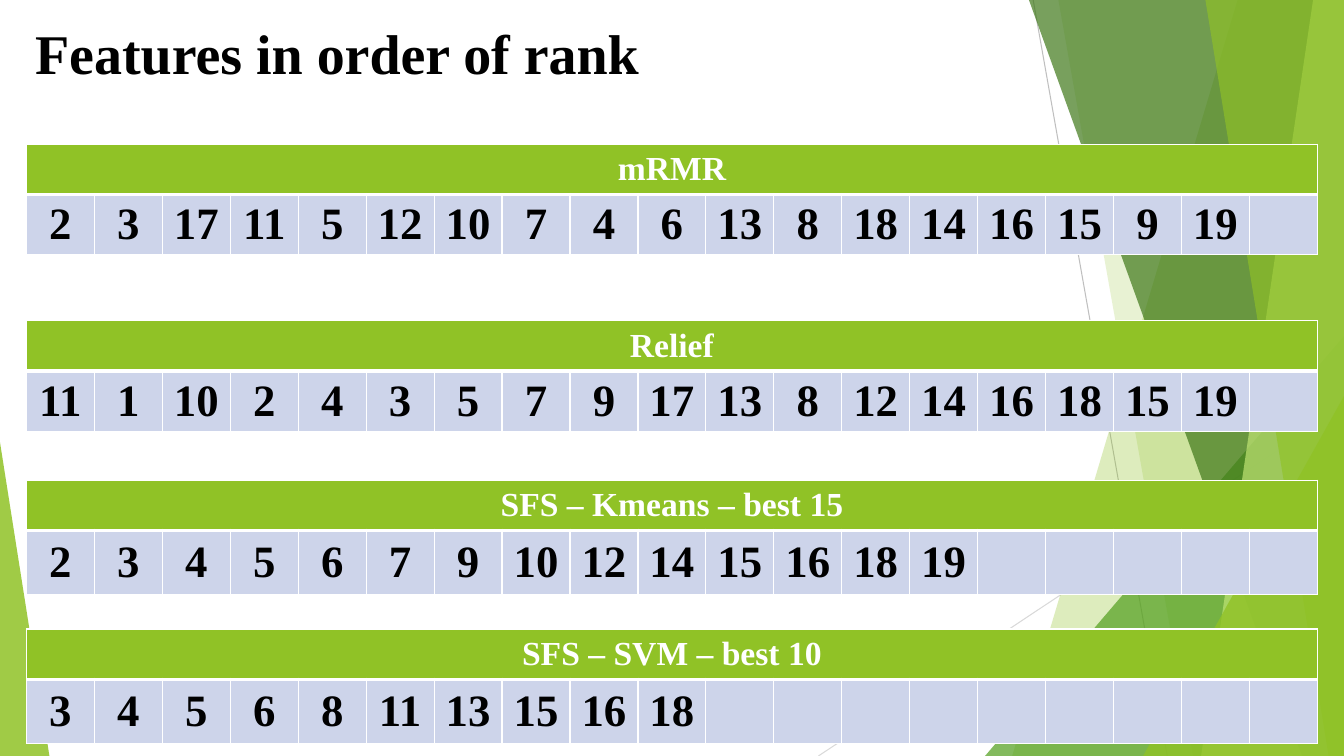
from dataclasses import dataclass

from lxml import etree
from pptx import Presentation
from pptx.dml.color import RGBColor
from pptx.enum import shapes, text
from pptx.oxml import ns
from pptx.util import Pt

WIDTH, HEIGHT = 960, 540
FONT = "Times New Roman"
GREEN, PALE_BLUE, WHITE, BLACK = "90C226", "CDD4EA", "FFFFFF", "000000"
COLUMNS = 19
TABLE_LEFT, TABLE_WIDTH, HEADER_HEIGHT = 18.9, 922.3, 36


@dataclass
class Ray:
    start: tuple[float, float]
    end: tuple[float, float]
    color: str


@dataclass
class Band:
    """Reaches from a slanted left edge to the right side of the slide."""
    top_x: float
    bottom_x: float
    color: str
    opacity: int


@dataclass
class Corner:
    """Right triangle standing on the bottom of the slide."""
    left: float
    top: float
    width: float
    peak: int
    color: str
    opacity: int


@dataclass
class Ranking:
    title: str
    top: float
    row_height: float
    features: list[int]


RAYS = [
    Ray((738, 0), (833.8, HEIGHT), "BFBFBF"),
    Ray((WIDTH, 290.2), (584.6, HEIGHT), "D9D9D9"),
]
FACETS = [
    Band(884.2, 722.9, GREEN, 30),
    Band(756, 851.8, GREEN, 20),
    Corner(703.6, 240, 256.4, 1, "54A021", 72),
    Band(735.1, 929.5, "3F7819", 70),
    Band(938.2, 858.2, "C0E474", 70),
    Band(861.1, 949, GREEN, 65),
    Corner(816.5, 283, 143.5, 1, GREEN, 80),
    Corner(0, 316, 35.3, 0, GREEN, 85),
]
RANKINGS = [
    Ranking("mRMR", 103, 42.5,
            [2, 3, 17, 11, 5, 12, 10, 7, 4, 6, 13, 8, 18, 14, 16, 15, 9, 19]),
    Ranking("Relief", 229, 43,
            [11, 1, 10, 2, 4, 3, 5, 7, 9, 17, 13, 8, 12, 14, 16, 18, 15, 19]),
    Ranking("SFS – Kmeans – best 15", 343, 45.5,
            [2, 3, 4, 5, 6, 7, 9, 10, 12, 14, 15, 16, 18, 19]),
    Ranking("SFS – SVM – best 10", 449.3, 45.5,
            [3, 4, 5, 6, 8, 11, 13, 15, 16, 18]),
]


def rgb(color: str) -> RGBColor:
    return RGBColor.from_string(color)


def set_font(para, size: float, color: str) -> None:
    font = para.font
    font.name, font.size, font.bold = FONT, Pt(size), True
    font.color.rgb = rgb(color)


def draw_ray(page, ray: Ray) -> None:
    line = page.shapes.add_connector(
        shapes.MSO_CONNECTOR.STRAIGHT, *map(Pt, ray.start + ray.end))
    line.line.color.rgb = rgb(ray.color)
    line.line.width = Pt(0.75)
    etree.SubElement(line._element.spPr, ns.qn("a:effectLst"))


def draw_facet(page, facet: Band | Corner) -> None:
    if isinstance(facet, Band):
        builder = page.shapes.build_freeform(facet.top_x, 0, scale=Pt(1))
        builder.add_line_segments(
            [(WIDTH, 0), (WIDTH, HEIGHT), (facet.bottom_x, HEIGHT)], close=True)
        shape = builder.convert_to_shape()
    else:
        shape = page.shapes.add_shape(
            shapes.MSO_SHAPE.ISOSCELES_TRIANGLE, Pt(facet.left), Pt(facet.top),
            Pt(facet.width), Pt(HEIGHT - facet.top))
        shape.adjustments[0] = facet.peak
    shape.shadow.inherit = False
    shape.line.fill.background()
    shape.fill.solid()
    shape.fill.fore_color.rgb = rgb(facet.color)
    color = shape._element.spPr.find(".//" + ns.qn("a:srgbClr"))
    etree.SubElement(color, ns.qn("a:alpha"), val=str(facet.opacity * 1000))


def style_cell(cell, fill: str, top: float, bottom: float) -> None:
    # Borders come before the fill in the cell properties
    properties = cell._tc.get_or_add_tcPr()
    for side, width in (("L", 1), ("R", 1), ("T", top), ("B", bottom)):
        border = etree.SubElement(
            properties, ns.qn("a:ln" + side), w=str(Pt(width)))
        solid = etree.SubElement(border, ns.qn("a:solidFill"))
        etree.SubElement(solid, ns.qn("a:srgbClr"), val=WHITE)
    cell.fill.solid()
    cell.fill.fore_color.rgb = rgb(fill)
    cell.vertical_anchor = text.MSO_ANCHOR.MIDDLE
    cell.margin_left = cell.margin_right = Pt(5)
    cell.margin_top = cell.margin_bottom = Pt(2)


def write_cell(cell, words: str, size: float, color: str) -> None:
    cell.text = words
    para = cell.text_frame.paragraphs[0]
    para.alignment = text.PP_ALIGN.CENTER
    set_font(para, size, color)


def draw_ranking(page, ranking: Ranking) -> None:
    table = page.shapes.add_table(
        2, COLUMNS, Pt(TABLE_LEFT), Pt(ranking.top), Pt(TABLE_WIDTH),
        Pt(HEADER_HEIGHT + ranking.row_height)).table
    table.first_row = table.horz_banding = False
    table.rows[0].height = Pt(HEADER_HEIGHT)
    table.rows[1].height = Pt(ranking.row_height)
    for index, column in enumerate(table.columns):
        column.width = Pt(TABLE_WIDTH / COLUMNS)
        style_cell(table.cell(0, index), GREEN, 1, 3)
        style_cell(table.cell(1, index), PALE_BLUE, 3, 1)
    table.cell(0, 0).merge(table.cell(0, COLUMNS - 1))
    write_cell(table.cell(0, 0), ranking.title, 24, WHITE)
    for index, feature in enumerate(ranking.features):
        write_cell(table.cell(1, index), str(feature), 32, BLACK)


def draw_title(page, words: str) -> None:
    box = page.shapes.add_textbox(Pt(18), Pt(9.4), Pt(894), Pt(55.4))
    frame = box.text_frame
    frame.word_wrap = True
    frame.auto_size = text.MSO_AUTO_SIZE.SHAPE_TO_FIT_TEXT
    para = frame.paragraphs[0]
    para.text = words
    set_font(para, 40, BLACK)


def main() -> None:
    deck = Presentation()
    deck.slide_width, deck.slide_height = Pt(WIDTH), Pt(HEIGHT)
    page = deck.slides.add_slide(deck.slide_layouts[6])

    # Green background facets
    for ray in RAYS:
        draw_ray(page, ray)
    for facet in FACETS:
        draw_facet(page, facet)

    # Title and ranked features
    draw_title(page, "Features in order of rank")
    for ranking in RANKINGS:
        draw_ranking(page, ranking)

    deck.save("out.pptx")


if __name__ == "__main__":
    main()
